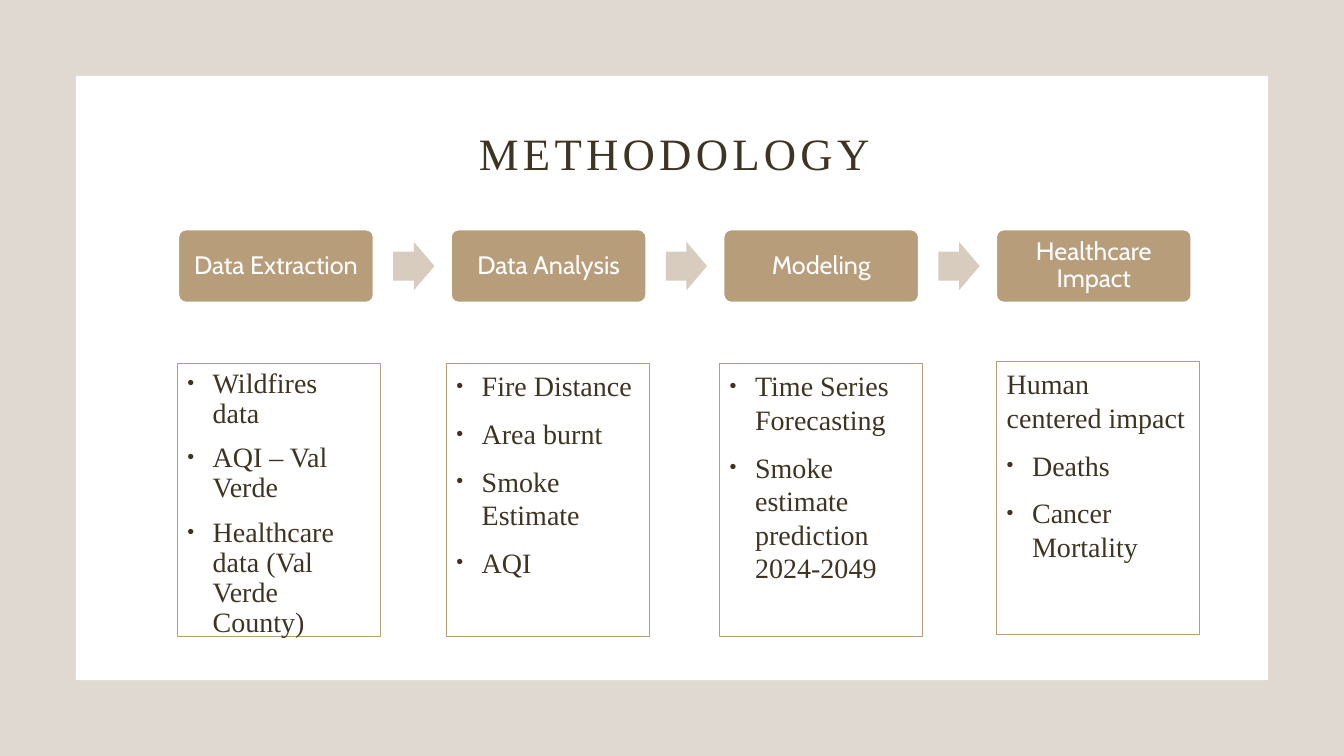
from lxml import etree
from pptx import Presentation
from pptx.dml.color import RGBColor
from pptx.enum.shapes import MSO_SHAPE
from pptx.enum.text import MSO_ANCHOR, PP_ALIGN
from pptx.oxml.ns import qn
from pptx.util import Cm, Pt

TITLE = "METHODOLOGY"
STAGES = [
    {"name": "Data Extraction", "intro": [], "left": 4.47, "top": 9.17, "spacing": 0.9,
     "points": ["Wildfires data", "AQI – Val Verde", "Healthcare data (Val Verde County)"]},
    {"name": "Data Analysis", "intro": [], "left": 11.25, "top": 9.17, "spacing": 1.0,
     "points": ["Fire Distance", "Area burnt", "Smoke Estimate", "AQI"]},
    {"name": "Modeling", "intro": [], "left": 18.14, "top": 9.17, "spacing": 1.0,
     "points": ["Time Series Forecasting", "Smoke estimate prediction 2024-2049"]},
    {"name": "Healthcare Impact", "intro": ["Human centered impact"],
     "left": 25.12, "top": 9.12, "spacing": 1.0, "points": ["Deaths", "Cancer Mortality"]},
]

WHITE = RGBColor(0xFF, 0xFF, 0xFF)
BROWN = RGBColor(0x80, 0x6B, 0x48)
TAN = RGBColor(0xB8, 0x9D, 0x7B)
SAND = RGBColor(0xD8, 0xCC, 0xBF)
INK = RGBColor(0x3E, 0x34, 0x23)
SERIF, SANS = "Times New Roman", "Cabin"

SLIDE_W, SLIDE_H, MARGIN = 33.87, 19.05, 1.91
STAGE_LEFT, STAGE_TOP, STAGE_PITCH = 4.5, 5.79, 6.87
STAGE_W, STAGE_H = 4.91, 1.83
ARROW_OFFSET, ARROW_W, ARROW_H = 5.41, 1.04, 1.22
DETAIL_W, DETAIL_H = 5.11, 6.88


def add_block(slide, preset, left, top, width, height, fill=None, line=None, weight=1):
    block = slide.shapes.add_shape(preset, Cm(left), Cm(top), Cm(width), Cm(height))
    block.shadow.inherit = False
    if fill is None:
        block.fill.background()
    else:
        block.fill.solid()
        block.fill.fore_color.rgb = fill
    if line is None:
        block.line.fill.background()
    else:
        block.line.color.rgb = line
        block.line.width = Pt(weight)
    return block


def style(paragraph, face, size, color, align, spacing):
    paragraph.alignment = align
    paragraph.line_spacing = spacing
    paragraph.font.name = face
    paragraph.font.size = Pt(size)
    paragraph.font.color.rgb = color


def add_bullet(paragraph):
    properties = paragraph._p.get_or_add_pPr()
    properties.set("marL", str(Cm(0.64)))
    properties.set("indent", str(-Cm(0.64)))
    for tag, attributes in (
        ("a:buSzPct", {"val": "70000"}),
        ("a:buFont", {"typeface": "Arial"}),
        ("a:buChar", {"char": "•"}),
    ):
        bullet_part = etree.Element(qn(tag), attributes)
        properties.find(qn("a:defRPr")).addprevious(bullet_part)


def add_stage(slide, index, name):
    left = STAGE_LEFT + index * STAGE_PITCH
    stage = add_block(slide, MSO_SHAPE.ROUNDED_RECTANGLE, left, STAGE_TOP,
                      STAGE_W, STAGE_H, TAN, WHITE)
    stage.adjustments[0] = 0.1
    frame = stage.text_frame
    frame.word_wrap = True
    frame.vertical_anchor = MSO_ANCHOR.MIDDLE
    frame.margin_left = frame.margin_right = Cm(0.23)
    frame.margin_top = frame.margin_bottom = Cm(0.23)
    frame.text = name
    style(frame.paragraphs[0], SANS, 18, WHITE, PP_ALIGN.CENTER, 0.9)
    if index < len(STAGES) - 1:
        arrow_top = STAGE_TOP + (STAGE_H - ARROW_H) / 2
        arrow = add_block(slide, MSO_SHAPE.RIGHT_ARROW, left + ARROW_OFFSET, arrow_top,
                          ARROW_W, ARROW_H, SAND)
        arrow.adjustments[0] = 0.6
        arrow.adjustments[1] = 0.5


def add_details(slide, stage):
    details = add_block(slide, MSO_SHAPE.RECTANGLE, stage["left"], stage["top"],
                        DETAIL_W, DETAIL_H, line=TAN, weight=0.75)
    frame = details.text_frame
    frame.word_wrap = True
    frame.vertical_anchor = MSO_ANCHOR.TOP
    frame.text = "\n".join(stage["intro"] + stage["points"])
    for index, paragraph in enumerate(frame.paragraphs):
        style(paragraph, SERIF, 20, INK, PP_ALIGN.LEFT, stage["spacing"])
        paragraph.space_before = Pt(10)
        if index >= len(stage["intro"]):
            add_bullet(paragraph)


def add_title(slide, panel):
    title = slide.shapes.title
    panel.element.addnext(title.element)
    title.left, title.top, title.width, title.height = Cm(3.81), Cm(2.84), Cm(26.37), Cm(1.83)
    title.text = TITLE
    title.text_frame.vertical_anchor = MSO_ANCHOR.BOTTOM
    heading = title.text_frame.paragraphs[0]
    style(heading, SERIF, 32, INK, PP_ALIGN.CENTER, 0.9)
    heading.runs[0].font._element.set("spc", "300")


def main():
    deck = Presentation()
    deck.slide_width, deck.slide_height = Cm(SLIDE_W), Cm(SLIDE_H)
    slide = deck.slides.add_slide(deck.slide_layouts[5])

    backdrop = add_block(slide, MSO_SHAPE.RECTANGLE, 0, 0, SLIDE_W, SLIDE_H, BROWN)
    tint = backdrop.element.spPr.find(qn("a:solidFill")).find(qn("a:srgbClr"))
    etree.SubElement(tint, qn("a:alpha"), val="25000")
    panel = add_block(slide, MSO_SHAPE.RECTANGLE, MARGIN, MARGIN,
                      SLIDE_W - 2 * MARGIN, SLIDE_H - 2 * MARGIN, WHITE)
    add_title(slide, panel)

    for index, stage in enumerate(STAGES):
        add_stage(slide, index, stage["name"])
        add_details(slide, stage)
    deck.save("out.pptx")


if __name__ == "__main__":
    main()
